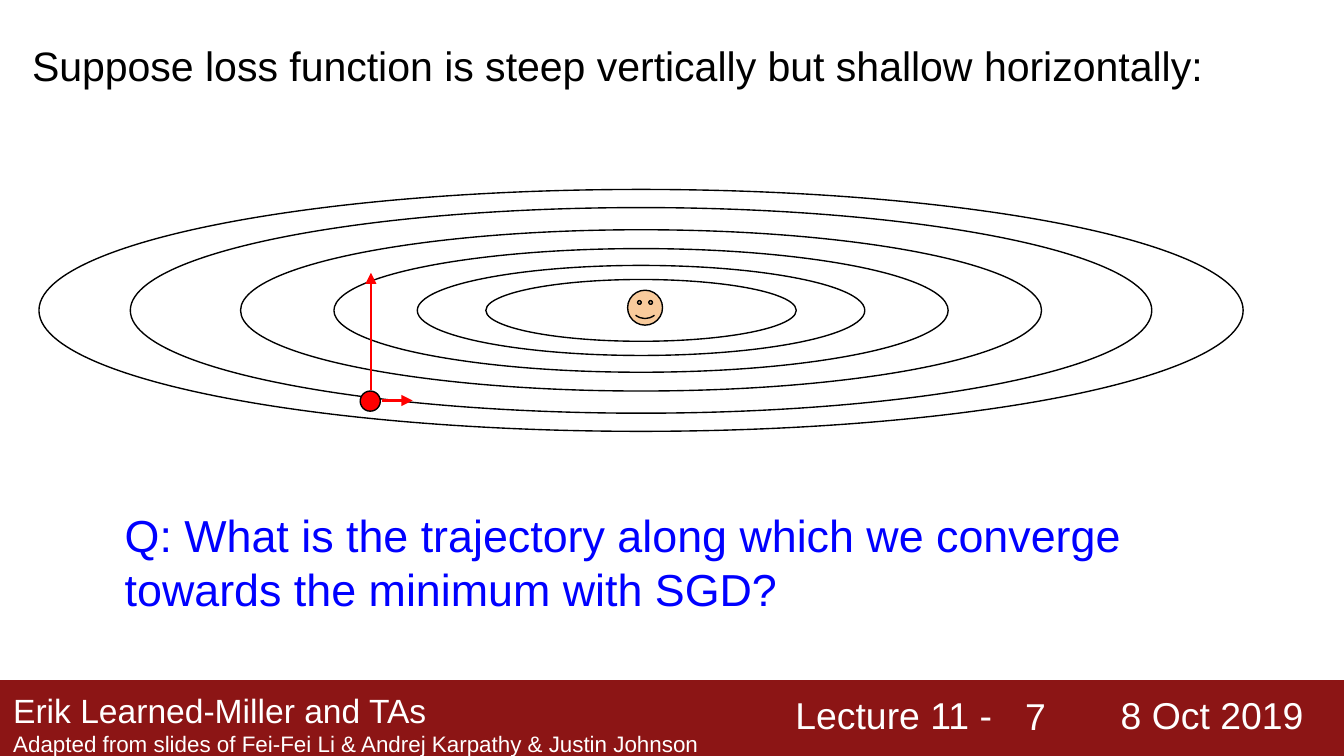
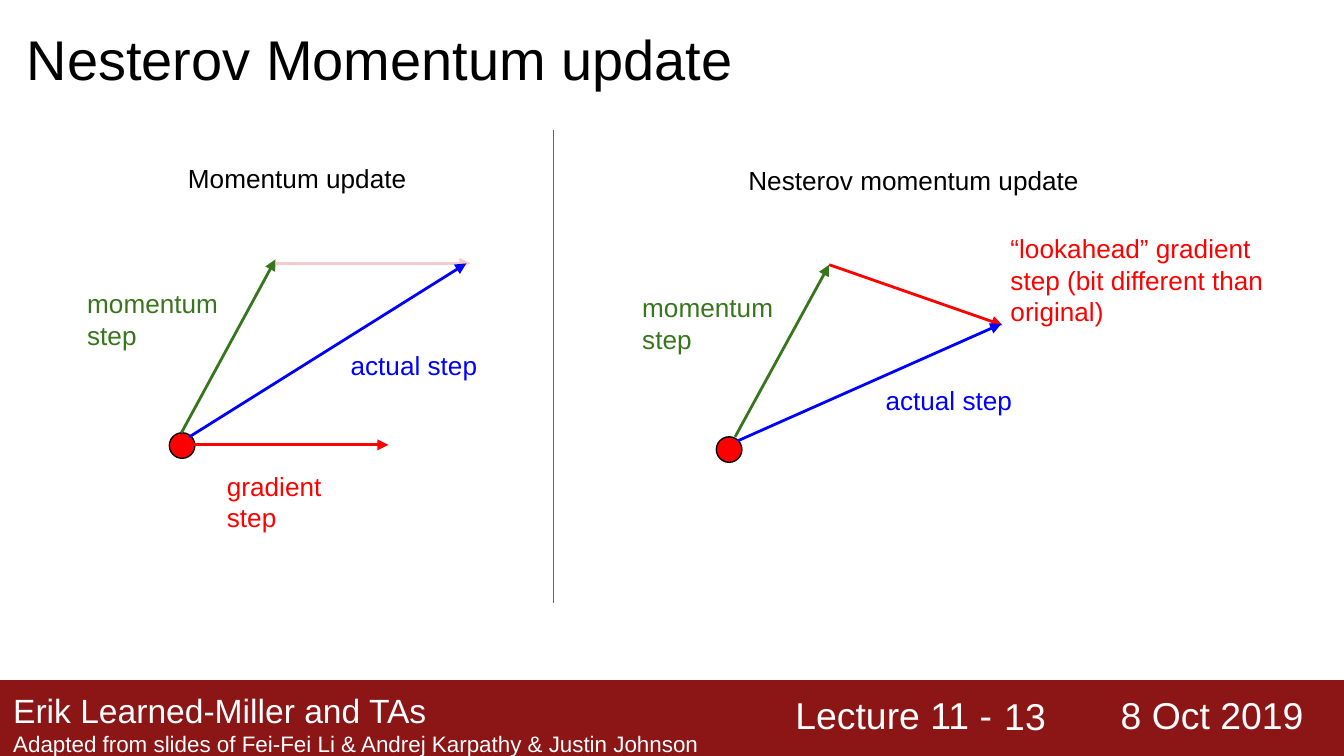
from lxml.etree import SubElement
from pptx import Presentation
from pptx.dml.color import RGBColor
from pptx.enum.shapes import MSO_CONNECTOR as Connector, MSO_SHAPE as Shape
from pptx.enum.text import MSO_ANCHOR as Anchor, PP_ALIGN as Align
from pptx.oxml.ns import qn
from pptx.util import Emu, Pt

PX = 9144  # 100 px to the inch
WIDTH = 1000
HEIGHT = WIDTH * 9 / 16
FONT = "Arial"
COLORS = {
    "black": "000000",
    "white": "FFFFFF",
    "band": "8C1515",
    "gradient": "FF0000",
    "faded": "F4CCCC",
    "momentum": "38761D",
    "actual": "0000FF",
    "face": "F9CB9C",
    "divider": "666666",
}


def px(*lengths):
    return [Emu(round(length * PX)) for length in lengths]


def rgb(color):
    return RGBColor.from_string(COLORS[color])


def add_text(slide, box, text, size=14, color="black", align=Align.LEFT,
             anchor=Anchor.TOP, small=None):
    """Write one paragraph per line of text; small follows after a line break."""
    frame = slide.shapes.add_textbox(*px(*box)).text_frame
    frame.word_wrap = True
    frame.vertical_anchor = anchor
    frame.margin_left, frame.margin_top, frame.margin_right, frame.margin_bottom = px(10, 10, 10, 10)
    for index, line in enumerate(text.split("\n")):
        paragraph = frame.paragraphs[0] if index == 0 else frame.add_paragraph()
        paragraph.alignment = align
        style_run(paragraph, line, size, color)
    if small:
        paragraph.add_line_break()
        style_run(paragraph, small, 12, color)


def style_run(paragraph, text, size, color):
    run = paragraph.add_run()
    run.text = text
    run.font.name = FONT
    run.font.size = Pt(size)
    run.font.color.rgb = rgb(color)


def add_figure(slide, kind, box, fill=None, line="black"):
    figure = slide.shapes.add_shape(kind, *px(*box))
    figure.shadow.inherit = False
    if fill:
        figure.fill.solid()
        figure.fill.fore_color.rgb = rgb(fill)
    else:
        figure.fill.background()
    if line:
        figure.line.color.rgb = rgb(line)
        figure.line.width = Pt(0.75)
    else:
        figure.line.fill.background()
    return figure


def add_line(slide, ends, color, width=1.5, arrow=True):
    line = slide.shapes.add_connector(Connector.STRAIGHT, *px(*ends))
    line.line.color.rgb = rgb(color)
    line.line.width = Pt(width)
    properties = line._element.spPr
    if arrow:
        SubElement(properties.find(qn("a:ln")), qn("a:tailEnd"), type="triangle")
    SubElement(properties, qn("a:effectLst"))


def add_footer(slide, number, top=506):
    add_figure(slide, Shape.RECTANGLE, (0, top, WIDTH, 58), fill="band", line=None)
    add_text(slide, (582, top - 1, 383, 59), "Lecture 11 -", size=20, color="white")
    add_text(slide, (0, top - 3, 574, 59), "Erik Learned-Miller and TAs", size=18, color="white",
             small="Adapted from slides of Fei-Fei Li & Andrej Karpathy & Justin Johnson")
    add_text(slide, (824, top - 1, 176, 59), "8 Oct 2019", size=20, color="white")
    add_text(slide, (728, top + 5, 60, 43), number, size=20, color="white",
             align=Align.RIGHT, anchor=Anchor.MIDDLE)


def add_contours(slide, center_x, center_y):
    """Draw the level sets, the minimum and the starting point around a center."""
    for width in (896, 760, 596, 457, 333, 231):
        height = round(width * 0.201)
        add_figure(slide, Shape.OVAL,
                   (center_x - width / 2, center_y - height / 2, width, height))
    minimum = add_figure(slide, Shape.SMILEY_FACE,
                         (center_x - 10, center_y - 15, 26, 26), fill="face")
    minimum.adjustments[0] = 0.047
    start_x, start_y = center_x - 201, center_y + 67
    add_figure(slide, Shape.OVAL, (start_x - 8, start_y - 7, 15, 15), fill="gradient")
    add_line(slide, (start_x + 8, start_y, start_x + 31, start_y), "gradient")
    add_line(slide, (start_x, start_y - 8, start_x, start_y - 95), "gradient")


def add_update_panel(slide, left, top, heading, start, arrows, labels):
    """Draw a step diagram; all places are relative to left and top."""
    def place(x, y, *size):
        return (left + x, top + y, *size)

    add_figure(slide, Shape.OVAL, place(*start, 19, 19), fill="gradient")
    for color, tail, head in arrows:
        add_line(slide, place(*tail) + place(*head), color)
    for color, box, text in labels:
        add_text(slide, place(*box, 38), text, color=color)
    text, box = heading
    add_text(slide, place(*box, 22), text)


def build_loss_slide(slide):
    add_footer(slide, "7")
    add_text(slide, (14, 20, 967, 56),
             "Suppose loss function is steep vertically but shallow horizontally:", size=22)
    add_contours(slide, 477, 231)
    add_text(slide, (83, 368, 823, 60),
             "Q: What is the trajectory along which we converge towards the minimum with SGD?",
             size=24, color="actual")


def build_nesterov_slide(slide):
    divider_x, top = 412, 97
    add_footer(slide, "13")
    add_text(slide, (10, 8, 615, 41), "Nesterov Momentum update", size=30)
    add_update_panel(
        slide, 0, top, ("Momentum update", (130, 14, 265)), (126, 225),
        arrows=[
            ("gradient", (144, 234), (289, 234)),
            ("momentum", (135, 225), (205, 96)),
            ("faded", (205, 99), (350, 99)),
            ("actual", (141, 228), (347, 99)),
        ],
        labels=[
            ("gradient", (159, 243, 130), "gradient\nstep"),
            ("momentum", (55, 107, 159), "momentum\nstep"),
            ("actual", (251, 153, 159), "actual step"),
        ])
    add_update_panel(
        slide, divider_x, top, ("Nesterov momentum update", (135, 15, 296)), (121, 228),
        arrows=[
            ("momentum", (135, 228), (205, 100)),
            ("gradient", (205, 100), (334, 145)),
            ("actual", (137, 231), (333, 144)),
        ],
        labels=[
            ("momentum", (56, 110, 159), "momentum\nstep"),
            ("gradient", (330, 66, 231),
             "“lookahead” gradient step (bit different than original)"),
            ("actual", (237, 179, 159), "actual step"),
        ])
    add_line(slide, (divider_x, top, divider_x, 449), "divider", width=0.75, arrow=False)


def main():
    deck = Presentation()
    deck.slide_width, deck.slide_height = px(WIDTH, HEIGHT)
    blank = deck.slide_layouts[6]
    for build in (build_loss_slide, build_nesterov_slide):
        build(deck.slides.add_slide(blank))
    deck.save("out.pptx")


if __name__ == "__main__":
    main()
